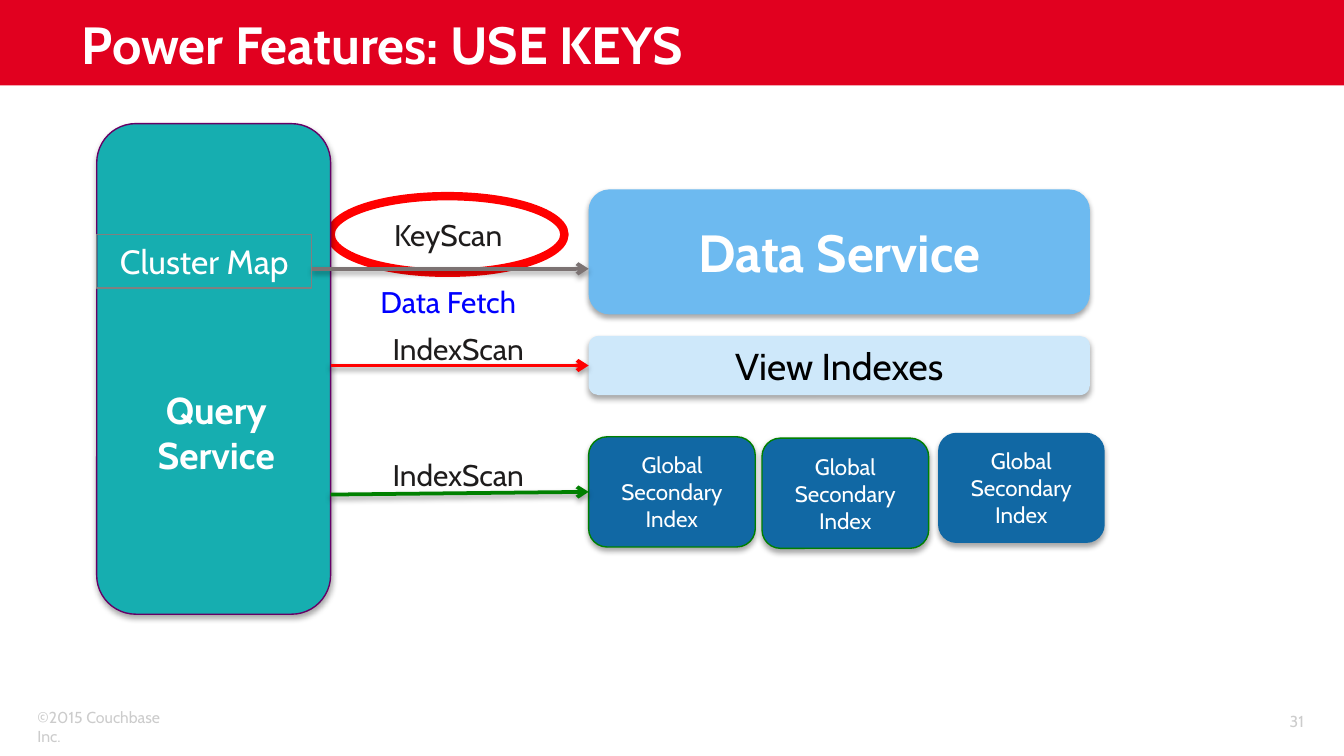
from lxml.etree import SubElement
from pptx import Presentation
from pptx.dml.color import RGBColor
from pptx.enum.shapes import MSO_CONNECTOR as CONN, MSO_SHAPE as SHAPE
from pptx.enum.text import MSO_ANCHOR as ANCHOR, PP_ALIGN as ALIGN
from pptx.oxml.ns import qn
from pptx.util import Inches, Pt

FONT = "Cabin"
COLS, ROWS = 100, 56.25
UNIT = Inches(10) / COLS

WHITE = RGBColor(0xFF, 0xFF, 0xFF)
BLACK = RGBColor(0, 0, 0)
INK = RGBColor(0x1E, 0x1C, 0x1C)
PALE = RGBColor(0xCC, 0xCC, 0xCC)
GRAY = RGBColor(0x80, 0x80, 0x80)
TAUPE = RGBColor(0x7C, 0x73, 0x73)
BANNER = RGBColor(0xE1, 0x00, 0x1F)
RED = RGBColor(0xFF, 0, 0)
BLUE = RGBColor(0, 0, 0xFF)
GREEN = RGBColor(0, 0x80, 0)
PURPLE = RGBColor(0x66, 0, 0x66)
TEAL = RGBColor(0x16, 0xAE, 0xB0)
SKY = RGBColor(0x6D, 0xBA, 0xF0)
ICE = RGBColor(0xCE, 0xE8, 0xFA)
NAVY = RGBColor(0x11, 0x68, 0xA4)

QUERY_LEFT, QUERY_RIGHT = 7.2, 24.6
MAP_RIGHT = 23.2
SERVICE_LEFT, SERVICE_WIDTH = 43.8, 37.3


def grid(*cells):
    return [round(c * UNIT) for c in cells]


def add_effects(sp, shadow, alpha=35, distance=1.8):
    effects = SubElement(sp._element.spPr, qn("a:effectLst"))
    if shadow:
        outer = SubElement(effects, qn("a:outerShdw"), blurRad=str(Pt(3.1)),
                           dist=str(Pt(distance)), dir="5400000", rotWithShape="0")
        color = SubElement(outer, qn("a:srgbClr"), val=str(BLACK))
        SubElement(color, qn("a:alpha"), val=str(alpha * 1000))


def write(sp, text, size, color, bold=False, align=ALIGN.CENTER,
          anchor=ANCHOR.TOP, spacing=None):
    tf = sp.text_frame
    tf.word_wrap = True
    tf.vertical_anchor = anchor
    p = tf.paragraphs[0]
    p.alignment = align
    p.line_spacing = spacing
    r = p.add_run()
    r.text = text
    r.font.name = FONT
    r.font.size = Pt(size)
    r.font.bold = bold
    r.font.color.rgb = color


def add_label(s, box, text, size, color, **style):
    write(s.shapes.add_textbox(*grid(*box)), text, size, color, **style)


def add_block(s, kind, box, fill=None, line=None, width=0.75, shadow=False):
    sp = s.shapes.add_shape(kind, *grid(*box))
    if fill is None:
        sp.fill.background()
    else:
        sp.fill.solid()
        sp.fill.fore_color.rgb = fill
    if line is None:
        sp.line.fill.background()
    else:
        sp.line.color.rgb = line
        sp.line.width = Pt(width)
    add_effects(sp, shadow)
    return sp


def add_service(s, box, fill, text, size, color=WHITE, bold=False, line=None):
    sp = add_block(s, SHAPE.ROUNDED_RECTANGLE, box, fill, line, shadow=True)
    write(sp, text, size, color, bold, anchor=ANCHOR.MIDDLE)


def add_arrow(s, left, start_row, end_row, color):
    ends = grid(left, start_row, SERVICE_LEFT, end_row)
    cn = s.shapes.add_connector(CONN.STRAIGHT, *ends)
    cn.line.color.rgb = color
    cn.line.width = Pt(2)
    SubElement(cn.line._get_or_add_ln(), qn("a:tailEnd"), type="arrow")
    add_effects(cn, True, alpha=38, distance=1.6)


def add_frame(s):
    add_block(s, SHAPE.RECTANGLE, (0, 0, COLS, 6.35), BANNER)
    add_label(s, (1.8, 52.15, 12.9, 2.4), "©2015 Couchbase Inc.", 8.5, PALE,
              align=ALIGN.LEFT)
    add_label(s, (89.9, 52.15, 8.1, 3), "31", 8.5, PALE,
              align=ALIGN.RIGHT, anchor=ANCHOR.MIDDLE)
    add_label(s, (5.1, 0.15, 87.5, 5.9), "Power Features: USE KEYS", 28, WHITE,
              bold=True, align=ALIGN.LEFT, anchor=ANCHOR.BOTTOM, spacing=0.8)


def add_services(s):
    add_block(s, SHAPE.OVAL, (QUERY_RIGHT, 14.6, 17.4, 5.7), line=RED, width=4.5)
    add_service(s, (SERVICE_LEFT, 14.1, SERVICE_WIDTH, 9.3), SKY,
                "Data Service", 28, bold=True)
    add_block(s, SHAPE.ROUNDED_RECTANGLE,
              (QUERY_LEFT, 9.2, QUERY_RIGHT - QUERY_LEFT, 36.5),
              TEAL, PURPLE, shadow=True)
    add_service(s, (SERVICE_LEFT, 25, SERVICE_WIDTH, 4.4), ICE,
                "View Indexes", 20, BLACK)
    for left, top, line in ((SERVICE_LEFT, 32.5, GREEN), (56.7, 32.6, GREEN),
                            (69.8, 32.2, None)):
        add_service(s, (left, top, 12.4, 8.2), NAVY,
                    "Global Secondary Index", 12, line=line)


def add_paths(s):
    add_arrow(s, QUERY_RIGHT, 36.8, 36.6, GREEN)
    add_arrow(s, MAP_RIGHT, 20, 20, TAUPE)
    add_arrow(s, QUERY_RIGHT, 27.2, 27.2, RED)
    for left, top, width, text, color in ((27.1, 15.65, 12.5, "KeyScan", INK),
                                          (27.4, 33.5, 13.4, "IndexScan", INK),
                                          (27.4, 24.1, 13.4, "IndexScan", INK),
                                          (27.1, 20.6, 12.5, "Data Fetch", BLUE)):
        add_label(s, (left, top, width, 3.7), text, 16, color)


def add_query_labels(s):
    add_label(s, (9.1, 28.3, 14, 7.7), "Query Service", 20, WHITE, bold=True)
    cluster_map = add_block(s, SHAPE.RECTANGLE,
                            (QUERY_LEFT, 17.45, MAP_RIGHT - QUERY_LEFT, 4), line=GRAY)
    write(cluster_map, "Cluster Map", 18, WHITE)


def main():
    prs = Presentation()
    prs.slide_width, prs.slide_height = grid(COLS, ROWS)
    s = prs.slides.add_slide(prs.slide_layouts[6])
    add_frame(s)
    add_services(s)
    add_paths(s)
    add_query_labels(s)
    prs.save("out.pptx")


if __name__ == "__main__":
    main()
